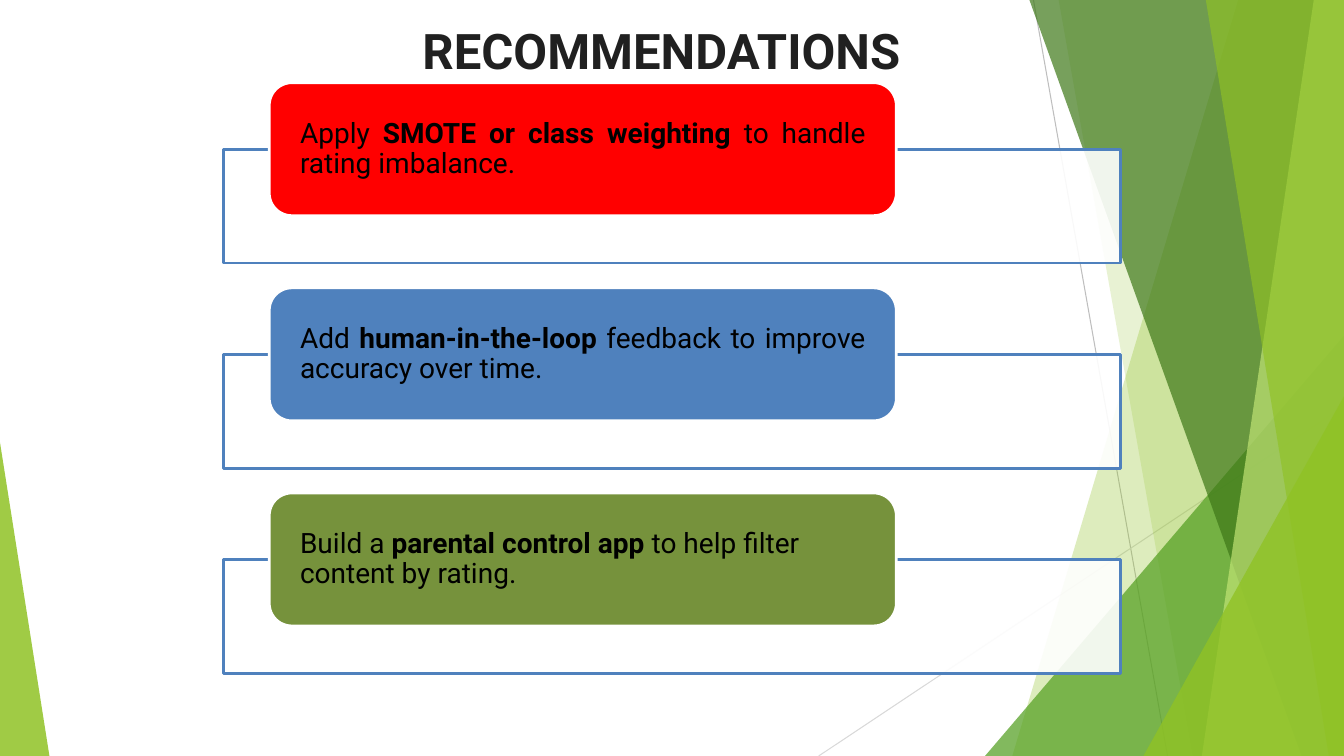
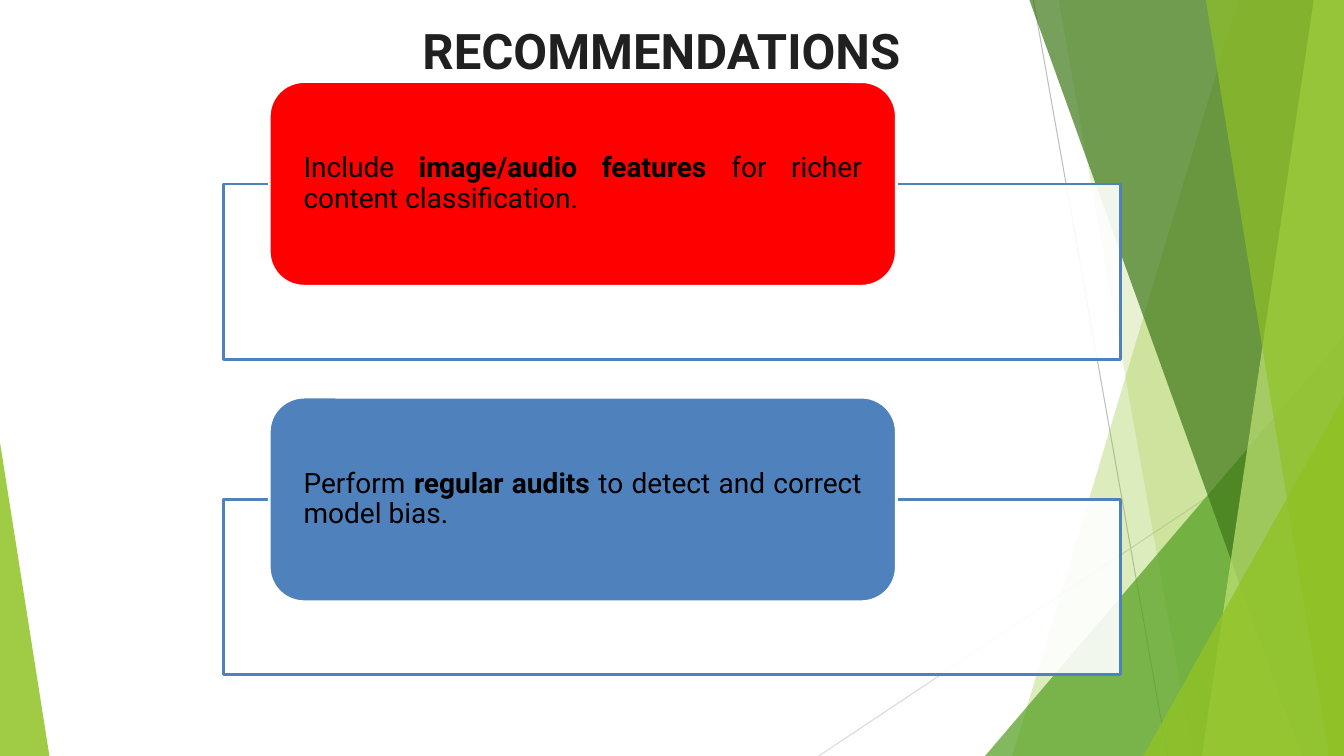
from dataclasses import dataclass

from lxml import etree
from pptx import Presentation
from pptx import util as u
from pptx.dml import color
from pptx.enum import shapes, text
from pptx.oxml import ns

WIDTH, HEIGHT = 13.33, 7.5
COLORS = {
    "white": "FFFFFF", "black": "000000", "title": "202020",
    "line": "BEBEBE", "pale line": "D9D9D9",
    "lime": "90C225", "green": "539F20", "forest": "3E7818", "pale lime": "C0E374",
    "red": "FF0000", "blue": "4F81BD", "olive": "76923C",
}
TITLE_FONT = {"name": "Roboto", "size": u.Pt(35), "bold": True}
TITLE_FRAME = {"margin_left": u.Inches(4.02), "margin_top": u.Inches(0.18),
               "margin_right": 0, "margin_bottom": 0, "word_wrap": True,
               "auto_size": text.MSO_AUTO_SIZE.NONE,
               "vertical_anchor": text.MSO_ANCHOR.TOP}
CARD_FONT = {"name": "Roboto", "size": u.Pt(20)}
CARD_FRAME = {"margin_left": u.Inches(0.24), "margin_top": 0,
              "margin_right": u.Inches(0.24), "margin_bottom": 0, "word_wrap": True,
              "vertical_anchor": text.MSO_ANCHOR.MIDDLE}


@dataclass(frozen=True)
class Facet:
    points: tuple
    fill: str
    opacity: int


@dataclass(frozen=True)
class Ray:
    start: tuple
    end: tuple
    color: str


@dataclass(frozen=True)
class Card:
    before: str
    bold: str
    after: str
    fill: str
    align: text.PP_ALIGN = text.PP_ALIGN.JUSTIFY


@dataclass(frozen=True)
class CardStack:
    first_top: float
    last_top: float
    card_height: float
    panel_height: float
    cards: tuple


RAYS = (
    Ray((10.25, 0), (11.58, HEIGHT), "line"),
    Ray((WIDTH, 4.03), (8.12, HEIGHT), "pale line"),
)
TOP_RIGHT, BOTTOM_RIGHT = (WIDTH, 0), (WIDTH, HEIGHT)
FACETS = (
    Facet((TOP_RIGHT, (12.28, 0), (10.04, HEIGHT), BOTTOM_RIGHT), "lime", 30),
    Facet((TOP_RIGHT, (10.5, 0), (11.83, HEIGHT), BOTTOM_RIGHT), "lime", 20),
    Facet(((WIDTH, 3.33), (9.77, HEIGHT), BOTTOM_RIGHT), "green", 72),
    Facet((TOP_RIGHT, (10.21, 0), (12.91, HEIGHT), BOTTOM_RIGHT), "forest", 70),
    Facet((TOP_RIGHT, (13.03, 0), (11.92, HEIGHT), BOTTOM_RIGHT), "pale lime", 70),
    Facet((TOP_RIGHT, (11.96, 0), (13.18, HEIGHT), BOTTOM_RIGHT), "lime", 65),
    Facet(((WIDTH, 3.93), (11.34, HEIGHT), BOTTOM_RIGHT), "lime", 80),
    Facet(((0, 4.39), (0, HEIGHT), (0.49, HEIGHT)), "lime", 85),
)
STACKS = (
    CardStack(0.82, 4.89, 1.32, 1.13, (
        Card("Apply ", "SMOTE or class weighting", " to handle rating imbalance.", "red"),
        Card("Add ", "human-in-the-loop",
             " feedback to improve accuracy over time.", "blue"),
        Card("Build a ", "parental control app", " to help filter content by rating.",
             "olive", text.PP_ALIGN.LEFT),
    )),
    CardStack(0.81, 3.94, 2.03, 1.74, (
        Card("Include ", "image/audio features",
             " for richer content classification.", "red"),
        Card("Perform ", "regular audits",
             " to detect and correct model bias.", "blue"),
    )),
)


# Formatting helpers
def rgb(name: str) -> color.RGBColor:
    return color.RGBColor.from_string(COLORS[name])


def apply_format(target, values: dict) -> None:
    for name, value in values.items():
        setattr(target, name, value)


def fill_shape(shape, name: str, opacity: int = 100) -> None:
    shape.shadow.inherit = False
    shape.fill.solid()
    shape.fill.fore_color.rgb = rgb(name)
    if opacity < 100:
        srgb = shape.element.spPr.find(ns.qn("a:solidFill")).find(ns.qn("a:srgbClr"))
        etree.SubElement(srgb, ns.qn("a:alpha"), val=str(opacity * 1000))


def set_line(shape, name: str, points: float) -> None:
    shape.line.color.rgb = rgb(name)
    shape.line.width = u.Pt(points)


# Shared background
def add_ray(slide, ray: Ray):
    connector = slide.shapes.add_connector(
        shapes.MSO_CONNECTOR.STRAIGHT, *map(u.Inches, ray.start + ray.end))
    set_line(connector, ray.color, 0.75)
    etree.SubElement(connector.element.spPr, ns.qn("a:effectLst"))
    return connector


def add_facet(slide, facet: Facet):
    first, *others = [(u.Inches(x), u.Inches(y)) for x, y in facet.points]
    builder = slide.shapes.build_freeform(*first)
    builder.add_line_segments(others, close=True)
    shape = builder.convert_to_shape()
    fill_shape(shape, facet.fill, facet.opacity)
    shape.line.fill.background()
    return shape


def move_to_layout(layout, decorations: list) -> None:
    tree = layout.shapes.element
    first_index = 2  # behind the layout placeholders
    for index, shape in enumerate(decorations, first_index):
        tree.insert(index, shape.element)


# Slide content
def add_title(slide, wording: str) -> None:
    title = slide.shapes.title
    apply_format(title, {"left": u.Inches(0.17), "top": u.Inches(0.02),
                         "width": u.Inches(9.88), "height": u.Inches(0.77)})
    apply_format(title.text_frame, TITLE_FRAME)
    paragraph = title.text_frame.paragraphs[0]
    paragraph.alignment = text.PP_ALIGN.LEFT
    run = paragraph.add_run()
    run.text = wording
    apply_format(run.font, TITLE_FONT)
    run.font.color.rgb = rgb("title")


def add_box(slide, kind, left: float, top: float, width: float, height: float):
    return slide.shapes.add_shape(kind, *map(u.Inches, (left, top, width, height)))


def add_card(slide, card: Card, top: float, stack: CardStack) -> None:
    panel = add_box(slide, shapes.MSO_SHAPE.RECTANGLE,
                    2.22, top + stack.card_height / 2, 8.89, stack.panel_height)
    fill_shape(panel, "white", 90)
    set_line(panel, "blue", 2)

    box = add_box(slide, shapes.MSO_SHAPE.ROUNDED_RECTANGLE,
                  2.67, top, 6.22, stack.card_height)
    box.adjustments[0] = 0.17
    fill_shape(box, card.fill)
    set_line(box, "white", 2)
    apply_format(box.text_frame, CARD_FRAME)
    paragraph = box.text_frame.paragraphs[0]
    apply_format(paragraph, {"alignment": card.align, "line_spacing": 0.9})
    for wording, bold in ((card.before, False), (card.bold, True), (card.after, False)):
        run = paragraph.add_run()
        run.text = wording
        apply_format(run.font, CARD_FONT | {"bold": bold})
        run.font.color.rgb = rgb("black")


def add_stack(slide, stack: CardStack) -> None:
    pitch = (stack.last_top - stack.first_top) / (len(stack.cards) - 1)
    for index, card in enumerate(stack.cards):
        add_card(slide, card, stack.first_top + index * pitch, stack)


def main() -> None:
    presentation = Presentation()
    presentation.slide_width = u.Inches(WIDTH)
    presentation.slide_height = u.Inches(HEIGHT)
    layout = presentation.slide_layouts.get_by_name("Title Only")
    slides = [presentation.slides.add_slide(layout) for _ in STACKS]

    # Freeforms are built on a slide, then shared through the layout
    decorations = [add_ray(slides[0], ray) for ray in RAYS]
    decorations += [add_facet(slides[0], facet) for facet in FACETS]
    move_to_layout(layout, decorations)

    for slide, stack in zip(slides, STACKS):
        add_title(slide, "RECOMMENDATIONS")
        add_stack(slide, stack)
    presentation.save("out.pptx")


if __name__ == "__main__":
    main()
